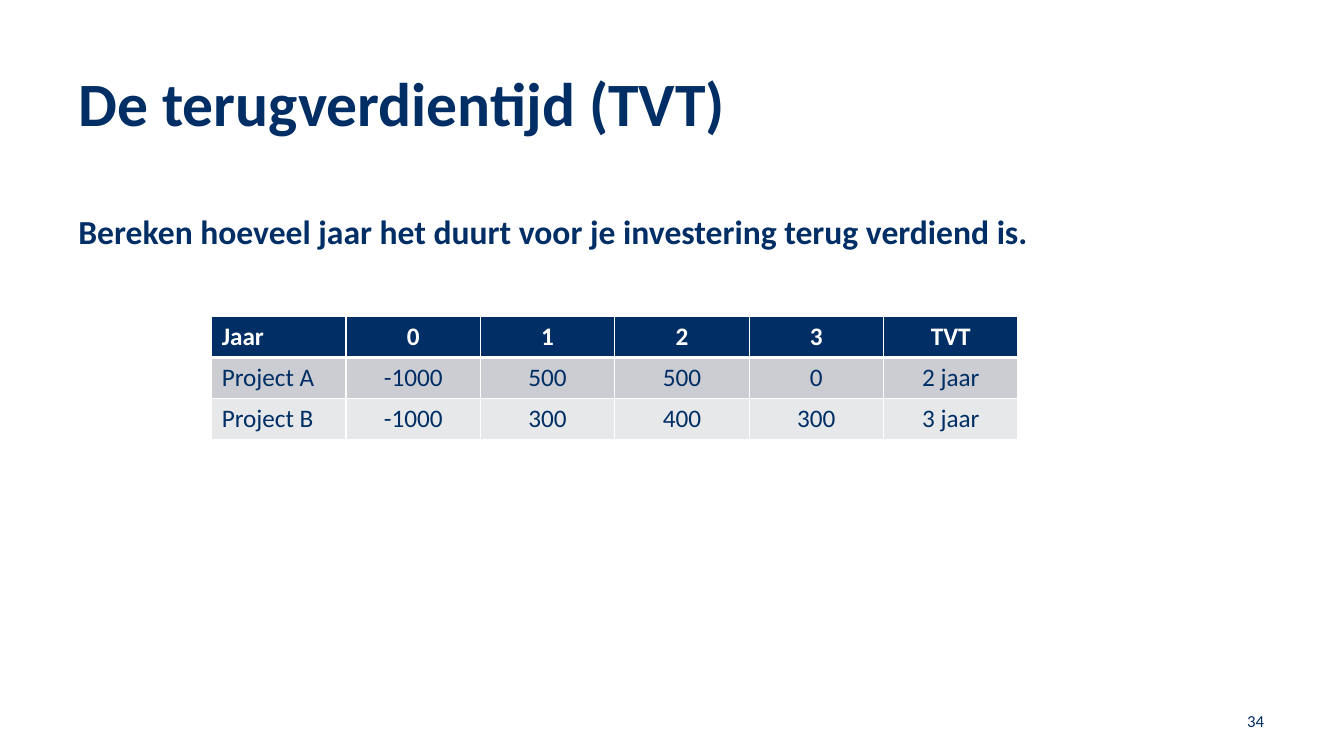
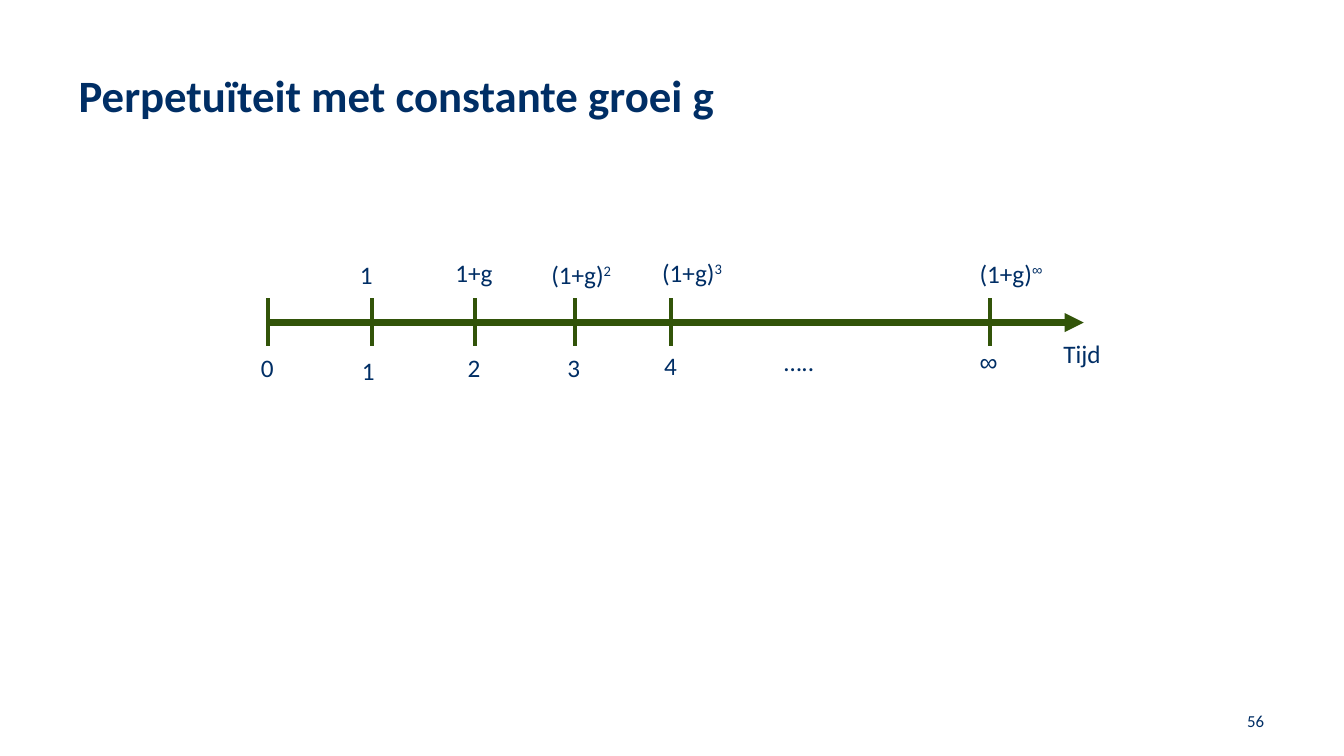
from lxml.etree import SubElement
from pptx import Presentation
from pptx.dml.color import RGBColor
from pptx.enum.shapes import MSO_CONNECTOR
from pptx.enum.text import MSO_ANCHOR, MSO_AUTO_SIZE, PP_ALIGN
from pptx.oxml.ns import qn
from pptx.util import Inches, Pt

# Shared look; lengths are percentages of the slide's width and height
WIDTH, HEIGHT = Inches(13.333), Inches(7.5)
NAVY, GREEN, WHITE = "002E65", "325409", "FFFFFF"
BANDS = ["CCCDD3", "E7E8EA"]
LEFT, SPAN = 5.1, 89.7
BASE = {"name": "Calibri", "size": Pt(18), "bold": False}
HEAD = {**BASE, "bold": True}
LEAD = {**HEAD, "size": Pt(24)}
FOOT = {**BASE, "size": Pt(12)}
SIGN = {**BASE, "name": "Arial"}


def color(code):
    return RGBColor.from_string(code)


def across(share):
    return round(WIDTH * share / 100)


def down(share):
    return round(HEIGHT * share / 100)


def place(shape, x, y, w, h):
    shape.left, shape.top = across(x), down(y)
    shape.width, shape.height = across(w), down(h)


def write(para, text, style, code=NAVY, power=False):
    run = para.add_run()
    run.text = text
    for key, value in style.items():
        setattr(run.font, key, value)
    run.font.color.rgb = color(code)
    if power:
        run._r.get_or_add_rPr().set("baseline", "30000")


# Slide with a title and a page number
def new_slide(deck, title, size, number):
    slide = deck.slides.add_slide(deck.slide_layouts[5])
    shape = slide.shapes.title
    place(shape, LEFT, 9.07, SPAN, 15.6)
    frame = shape.text_frame
    frame.auto_size = MSO_AUTO_SIZE.NONE
    frame.vertical_anchor = MSO_ANCHOR.TOP
    para = frame.paragraphs[0]
    para.alignment, para.line_spacing = PP_ALIGN.LEFT, 0.9
    write(para, title, {**HEAD, "size": Pt(size)})
    para = add_text(slide, number, (72.3, 92.67, 22.5, 5.33), FOOT, MSO_ANCHOR.MIDDLE)
    para.alignment = PP_ALIGN.RIGHT
    return slide


def add_text(slide, text, box, style=BASE, anchor=MSO_ANCHOR.TOP):
    shape = slide.shapes.add_textbox(0, 0, 0, 0)
    place(shape, *box)
    frame = shape.text_frame
    frame.word_wrap = True
    frame.vertical_anchor = anchor
    para = frame.paragraphs[0]
    write(para, text, style)
    return para


def add_line(slide, start, end, weight, arrow=False):
    line = slide.shapes.add_connector(
        MSO_CONNECTOR.STRAIGHT,
        across(start[0]), down(start[1]), across(end[0]), down(end[1]))
    line.line.color.rgb = color(GREEN)
    line.line.width = Pt(weight)
    if arrow:
        SubElement(line.line._get_or_add_ln(), qn("a:tailEnd"), type="triangle")
    SubElement(line._element.spPr, qn("a:effectLst"))


# Table with white rules, thick below the header
def edge(cell, side, weight):
    line = SubElement(cell._tc.get_or_add_tcPr(), qn(f"a:ln{side}"), w=str(Pt(weight)))
    fill = SubElement(line, qn("a:solidFill"))
    SubElement(fill, qn("a:srgbClr"), val=WHITE)


def add_table(slide, rows, box):
    x, y, w, h = box
    table = slide.shapes.add_table(
        len(rows), len(rows[0]), across(x), down(y), across(w), down(h)).table
    for r, row in enumerate(rows):
        fill = BANDS[(r - 1) % 2] if r else NAVY
        style, ink = (BASE, NAVY) if r else (HEAD, WHITE)
        rules = {"L": 1, "R": 1, "T": 3 if r == 1 else 1, "B": 1 if r else 3}
        for c, text in enumerate(row):
            cell = table.cell(r, c)
            for side, weight in rules.items():
                edge(cell, side, weight)
            cell.fill.solid()
            cell.fill.fore_color.rgb = color(fill)
            para = cell.text_frame.paragraphs[0]
            para.alignment = PP_ALIGN.CENTER if c else PP_ALIGN.LEFT
            write(para, text, style, ink)


def payback(deck):
    slide = new_slide(deck, "De terugverdientijd (TVT)", 44, "34")
    para = add_text(
        slide, "Bereken hoeveel jaar het duurt voor je investering terug verdiend is.",
        (LEFT, 27.87, SPAN, 63.07), LEAD)
    para.line_spacing, para.space_before = 0.9, Pt(10)
    add_table(slide, [
        ["Jaar", "0", "1", "2", "3", "TVT"],
        ["Project A", "-1000", "500", "500", "0", "2 jaar"],
        ["Project B", "-1000", "300", "400", "300", "3 jaar"],
    ], (15.75, 41.87, 60, 16.27))


def growth(deck):
    slide = new_slide(deck, "Perpetuïteit met constante groei g", 32, "56")
    # Time axis and ticks
    add_line(slide, (19.8, 42.67), (80.63, 42.67), 4.5, arrow=True)
    for x in (19.95, 27.68, 35.33, 42.78, 49.95, 73.65):
        add_line(slide, (x, 39.47), (x, 45.73), 3)
    # Cash flows: text, power, left, top, width
    for text, power, x, y, w in [
        ("1", "", 26.03, 33.6, 2.63),
        ("1+g", "", 33.15, 33.33, 5.18),
        ("(1+g)", "2", 40.28, 33.6, 8.63),
        ("(1+g)", "3", 48.53, 33.33, 7.5),
        ("(1+g)", "∞", 72.15, 33.47, 7.73),
    ]:
        para = add_text(slide, text, (x, y, w, 5.33))
        if power:
            write(para, power, SIGN if power == "∞" else BASE, power=True)
    # Years: text, left, top, width
    for text, x, y, w in [
        ("0", 18.68, 46, 2.63),
        ("1", 26.18, 46.4, 2.63),
        ("2", 34.05, 46, 2.63),
        ("3", 41.48, 46, 2.63),
        ("4", 48.68, 45.73, 2.63),
        ("…..", 57.6, 45.2, 5.48),
        ("∞", 72.15, 45.2, 2.63),
        ("Tijd", 78.38, 44.13, 5.33),
    ]:
        add_text(slide, text, (x, y, w, 5.33), SIGN if text == "∞" else BASE)


def main():
    deck = Presentation()
    deck.slide_width, deck.slide_height = WIDTH, HEIGHT
    payback(deck)
    growth(deck)
    deck.save("out.pptx")


if __name__ == "__main__":
    main()
